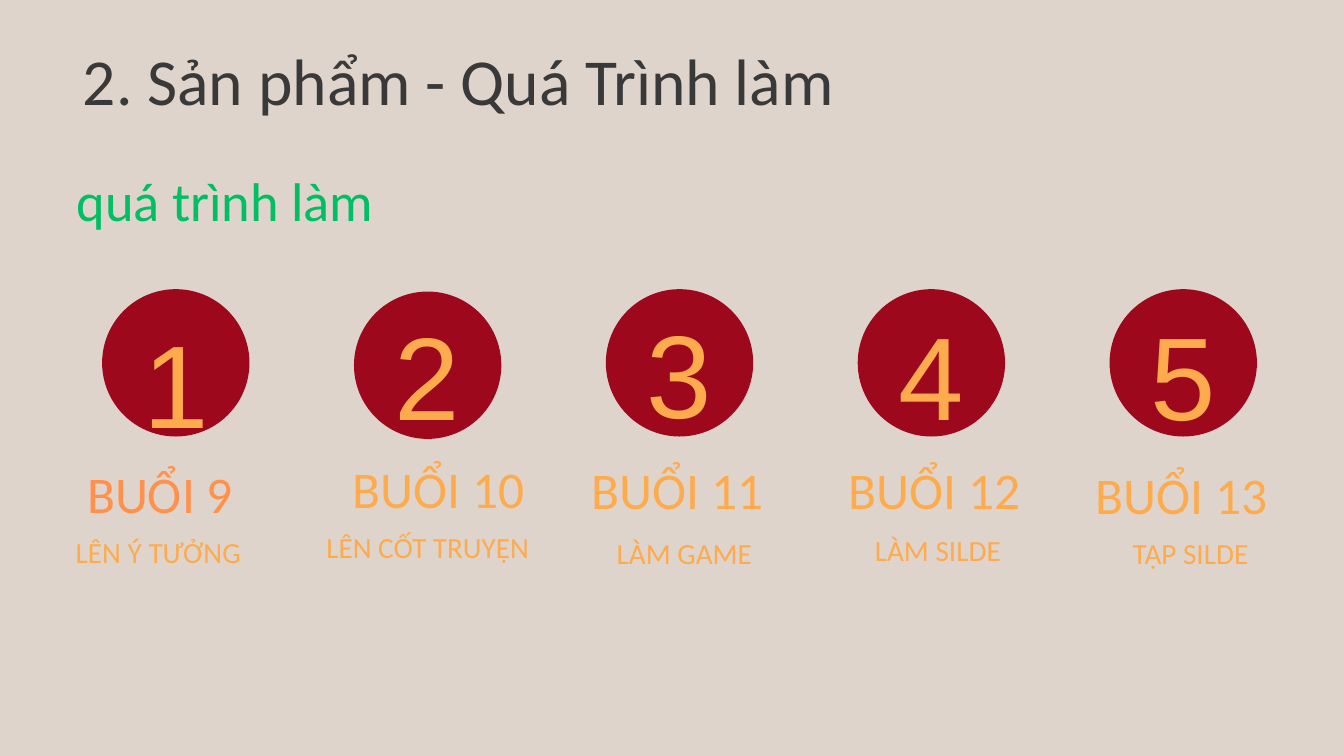
from dataclasses import dataclass

from pptx import Presentation
from pptx.dml.color import RGBColor
from pptx.enum.shapes import MSO_SHAPE as Shape
from pptx.enum.text import MSO_ANCHOR as Anchor, MSO_AUTO_SIZE as AutoSize, PP_ALIGN as Align
from pptx.util import Cm, Pt


@dataclass(frozen=True)
class Theme:
    background: str = "DFD4CB"
    ink: str = "393939"
    green: str = "00BF63"
    red: str = "9D081C"
    amber: str = "FDAB4D"
    orange: str = "FF914D"
    body_font: str = "Calibri"
    number_font: str = "Arial"
    title_size: float = 70.3
    subtitle_size: float = 58.3
    number_size: float = 125.9
    session_size: float = 55.1
    task_size: float = 31.3


THEME = Theme()


def write(shape, text, *, size, color, font=THEME.body_font, align=Align.LEFT, leading=1.4, indent=0):
    """Fill a shape with one formatted line of text."""
    frame = shape.text_frame
    frame.word_wrap = True
    frame.auto_size = AutoSize.SHAPE_TO_FIT_TEXT
    frame.vertical_anchor = Anchor.TOP
    frame.margin_left = Cm(indent)
    frame.margin_top = frame.margin_right = frame.margin_bottom = 0
    line = frame.paragraphs[0]
    line.alignment = align
    line.line_spacing = Pt(round(size * leading, 1))
    run = line.add_run()
    run.text = text
    run.font.name = font
    run.font.size = Pt(size)
    run.font.color.rgb = RGBColor.from_string(color)


class SlideBuilder:
    def __init__(self, deck, theme):
        self.theme = theme
        self.slide = deck.slides.add_slide(deck.slide_layouts[5])
        backdrop = self.slide.background.fill
        backdrop.solid()
        backdrop.fore_color.rgb = RGBColor.from_string(theme.background)

    def title(self, text, left, top, width, height, **style):
        heading = self.slide.shapes.title
        heading.left, heading.top = Cm(left), Cm(top)
        heading.width, heading.height = Cm(width), Cm(height)
        write(heading, text, **style)

    def label(self, text, left, top, width, height, **style):
        box = self.slide.shapes.add_textbox(Cm(left), Cm(top), Cm(width), Cm(height))
        write(box, text, **style)

    def disc(self, left, top, diameter):
        circle = self.slide.shapes.add_shape(
            Shape.OVAL, Cm(left), Cm(top), Cm(diameter), Cm(diameter))
        circle.shadow.inherit = False
        circle.fill.solid()
        circle.fill.fore_color.rgb = RGBColor.from_string(self.theme.red)
        circle.line.fill.background()


# Each step: disc top, number top, session (text, left, top, width), task (the same)
STEPS = [
    (10.93, 10.87, ("BUỔI 9", 0.71, 17.09, 10.67), ("LÊN Ý TƯỞNG", 0.97, 19.99, 10.03)),
    (11.02, 10.57, ("BUỔI 10", 9.42, 16.89, 14.3), ("LÊN CỐT TRUYỆN", 11.38, 19.79, 9.58)),
    (10.93, 10.49, ("BUỔI 11", 16.15, 16.92, 18.92), ("LÀM GAME", 21.08, 20.02, 9.58)),
    (10.93, 10.57, ("BUỔI 12", 25.86, 16.92, 18.92), ("LÀM SILDE", 30.66, 19.91, 9.58)),
    (10.93, 10.57, ("BUỔI 13", 35.08, 17.12, 19.18), ("TẬP SILDE", 40.21, 20.02, 9.58)),
]
FIRST_DISC, DISC_PITCH, DISC_SIZE = 3.86, 9.52, 5.57
NUMBER_WIDTH = 3.43


def main():
    deck = Presentation()
    deck.slide_width, deck.slide_height = Cm(50.8), Cm(28.575)
    page = SlideBuilder(deck, THEME)

    # Headings
    page.title("2. Sản phẩm - Quá Trình làm", 2.57, 1.75, 42.11, 3.18,
               size=THEME.title_size, color=THEME.ink, leading=1.1, indent=0.56)
    page.label("quá trình làm", 2.9, 6.53, 18.19, 2.62,
               size=THEME.subtitle_size, color=THEME.green, leading=1.1)

    # Numbered steps, one per session
    for index, (disc_top, number_top, session, task) in enumerate(STEPS):
        disc_left = FIRST_DISC + index * DISC_PITCH
        page.disc(disc_left, disc_top, DISC_SIZE)
        page.label(str(index + 1), disc_left + (DISC_SIZE - NUMBER_WIDTH) / 2, number_top,
                   NUMBER_WIDTH, 6.02, size=THEME.number_size, color=THEME.amber,
                   font=THEME.number_font, align=Align.CENTER)
        page.label(*session, 2.59, size=THEME.session_size, align=Align.CENTER,
                   color=THEME.amber if index else THEME.orange)
        page.label(*task, 1.5, size=THEME.task_size, color=THEME.amber, align=Align.CENTER)

    deck.save("out.pptx")


if __name__ == "__main__":
    main()
